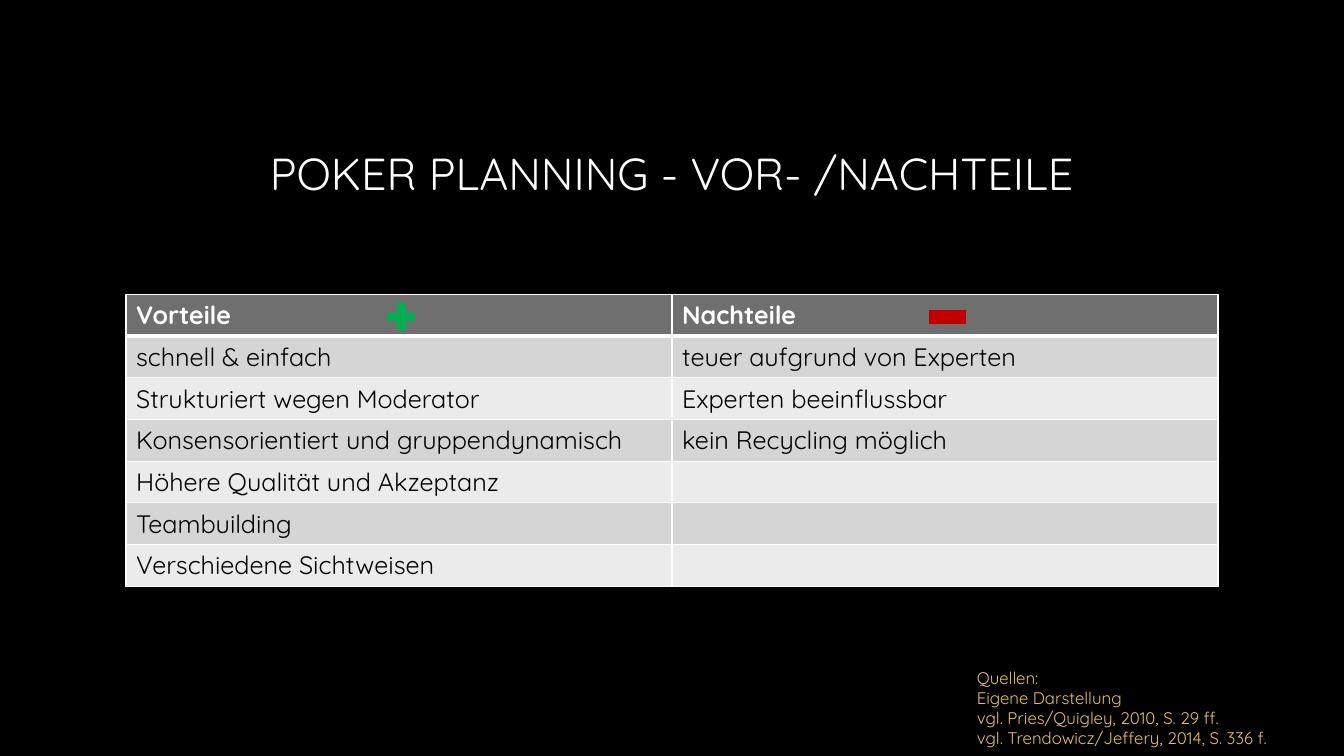
from dataclasses import dataclass
from itertools import zip_longest

from lxml import etree
from pptx import Presentation
from pptx.dml.color import RGBColor
from pptx.enum.shapes import MSO_SHAPE
from pptx.enum.text import MSO_ANCHOR, PP_ALIGN
from pptx.oxml.ns import qn
from pptx.util import Inches, Pt

PLUS, RECT = MSO_SHAPE.CROSS, MSO_SHAPE.RECTANGLE
MIDDLE, LEFT, CENTER = MSO_ANCHOR.MIDDLE, PP_ALIGN.LEFT, PP_ALIGN.CENTER


@dataclass(frozen=True)
class Theme:
    font: str = "Quicksand"
    back: str = "000000"
    light: str = "FFFFFF"
    dark: str = "000000"
    head: str = "6F6F6F"
    bands: tuple = ("D5D5D5", "EBEBEB")
    good: str = "00B050"
    bad: str = "C00000"
    note: str = "E7BF5F"
    title_size: int = 32
    table_size: int = 18
    note_size: int = 12


class Deck:
    def __init__(self, theme):
        self.theme = theme
        self.file = Presentation()
        self.file.slide_width = Inches(13.33)
        self.file.slide_height = Inches(7.5)
        self.slide = self.file.slides.add_slide(self.file.slide_layouts[5])
        self.paint(self.slide.background.fill, theme.back)

    def paint(self, fill, color):
        fill.solid()
        fill.fore_color.rgb = RGBColor.from_string(color)

    def label(self, frame, lines, size, color, bold=False, align=LEFT):
        frame.text = "\n".join(lines)
        for par in frame.paragraphs:
            par.alignment = align
            par.font.name = self.theme.font
            par.font.size = Pt(size)
            par.font.bold = bold
            par.font.color.rgb = RGBColor.from_string(color)

    def title(self, text, *box):
        shape = self.slide.shapes.title
        shape.left, shape.top, shape.width, shape.height = map(Inches, box)
        shape.text_frame.vertical_anchor = MIDDLE
        self.label(shape.text_frame, [text], self.theme.title_size,
                   self.theme.light, align=CENTER)

    def border(self, cell, bottom):
        props = cell._tc.get_or_add_tcPr()
        for side, width in (("L", 1), ("R", 1), ("T", 1), ("B", bottom)):
            line = etree.SubElement(props, qn(f"a:ln{side}"), w=str(Pt(width)))
            fill = etree.SubElement(line, qn("a:solidFill"))
            etree.SubElement(fill, qn("a:srgbClr"), val=self.theme.light)

    def table(self, rows, left, top, width, step):
        theme = self.theme
        grid = self.slide.shapes.add_table(
            len(rows), len(rows[0]), Inches(left), Inches(top),
            Inches(width), Inches(step * len(rows))).table
        for r, row in enumerate(rows):
            grid.rows[r].height = Inches(step)
            head = r == 0
            for c, text in enumerate(row):
                cell = grid.cell(r, c)
                self.border(cell, 3 if head else 1)
                self.paint(cell.fill, theme.head if head else theme.bands[(r - 1) % 2])
                self.label(cell.text_frame, [text], theme.table_size,
                           theme.light if head else theme.dark, bold=head)

    def sign(self, kind, color, *box):
        shape = self.slide.shapes.add_shape(kind, *map(Inches, box))
        shape.shadow.inherit = False
        self.paint(shape.fill, color)
        self.paint(shape.line.fill, self.theme.head)
        shape.line.width = Pt(1.5)
        return shape

    def note(self, lines, *box):
        frame = self.slide.shapes.add_textbox(*map(Inches, box)).text_frame
        frame.word_wrap = True
        self.label(frame, lines, self.theme.note_size, self.theme.note)


def main():
    theme = Theme()
    deck = Deck(theme)
    deck.title("POKER PLANNING - VOR- /NACHTEILE", 1.25, 0.67, 10.83, 2.08)

    # Pros and cons, side by side
    pros = ["Vorteile", "schnell & einfach", "Strukturiert wegen Moderator",
            "Konsensorientiert und gruppendynamisch",
            "Höhere Qualität und Akzeptanz", "Teambuilding",
            "Verschiedene Sichtweisen"]
    cons = ["Nachteile", "teuer aufgrund von Experten",
            "Experten beeinflussbar", "kein Recycling möglich"]
    rows = list(zip_longest(pros, cons, fillvalue=""))
    deck.table(rows, 1.25, 2.92, 10.83, 0.41)

    # Signs in the header row
    plus = deck.sign(PLUS, theme.good, 3.83, 3, 0.3, 0.29)
    plus.adjustments[0] = 0.33
    deck.sign(RECT, theme.bad, 9.2, 3.07, 0.39, 0.16)

    # Sources
    deck.note(["Quellen:", "Eigene Darstellung",
               "vgl. Pries/Quigley, 2010, S. 29 ff.",
               "vgl. Trendowicz/Jeffery, 2014, S. 336 f."],
              9.59, 6.57, 3.46, 0.91)

    deck.file.save("out.pptx")


if __name__ == "__main__":
    main()
